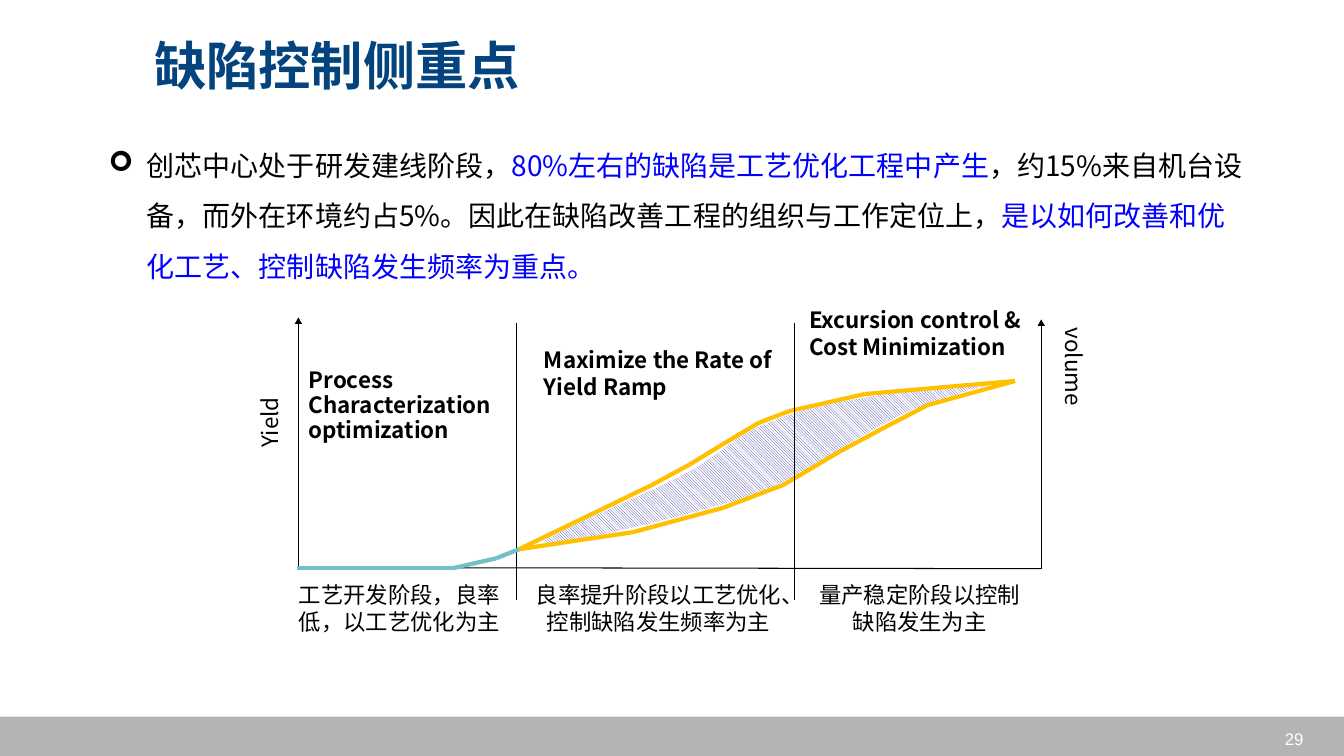
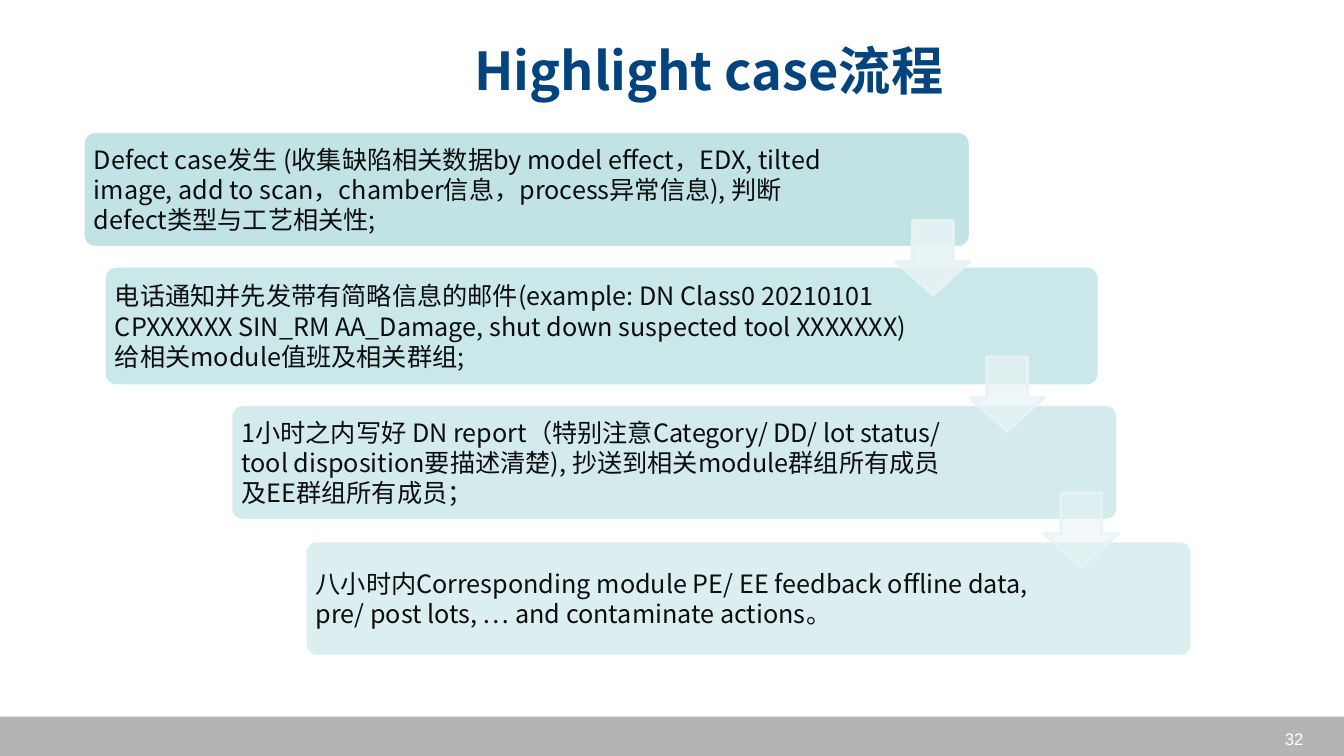
from itertools import pairwise
from typing import NamedTuple, Optional

from pptx import Presentation
from pptx.dml.color import RGBColor
from pptx.enum.dml import MSO_PATTERN as Pattern
from pptx.enum.shapes import MSO_CONNECTOR as Connector, MSO_SHAPE as Preset
from pptx.enum.text import MSO_ANCHOR as Anchor, MSO_AUTO_SIZE as AutoSize, PP_ALIGN as Align
from pptx.oxml.ns import qn
from pptx.oxml.xmlchemy import OxmlElement
from pptx.util import Cm, Pt

BODY_FONT = "Noto Sans CJK SC"
NAVY, BLUE, BLACK, WHITE = "03447E", "0000FE", "000000", "FFFFFF"
GRAY, TEAL, AMBER, INDIGO = "B4B4B4", "72BFC5", "FFC000", "333399"
CARD_FILL, CARD_TEXT, ARROW_FILL = "BBE0E3", "0D0D0D", "E7F3F4"
Point = tuple[float, float]


class Box(NamedTuple):
    left: float
    top: float
    width: float
    height: float


class Label(NamedTuple):
    box: Box
    lines: list[str]
    align: Align = Align.LEFT
    bold: bool = False
    tight: bool = False
    rotation: int = 0


class Curve(NamedTuple):
    points: list[Point]
    color: str = BLACK
    width: float = 0.75


class Card(NamedTuple):
    box: Box
    right_inset: float
    opacity: int
    text: str


LABELS = [
    Label(Box(7.53, 9.4, 5.66, 1.96), ["Process", "Characterization", "optimization"],
          bold=True, tight=True),
    Label(Box(13.46, 8.59, 6.43, 1.63), ["Maximize the Rate of Yield Ramp"], bold=True),
    Label(Box(20.14, 7.59, 6.73, 1.63), ["Excursion control &", "Cost Minimization"], bold=True),
    Label(Box(5.38, 10.36, 3.07, 0.58), ["Yield"], Align.CENTER, tight=True, rotation=270),
    Label(Box(25.43, 8.95, 3.07, 0.58), ["volume"], Align.CENTER, tight=True, rotation=90),
    Label(Box(7.13, 14.53, 5.87, 1.63), ["工艺开发阶段，良率低，以工艺优化为主"], Align.CENTER),
    Label(Box(13.22, 14.53, 6.76, 1.63), ["良率提升阶段以工艺优化、控制缺陷发生频率为主"], Align.CENTER),
    Label(Box(20.32, 14.53, 5.72, 1.63), ["量产稳定阶段以控制缺陷发生为主"], Align.CENTER),
]

AXIS_TIPS = [(7.52, 8), (26.24, 8.05)]
AXES = [
    Curve([(7.52, 14.3), (7.52, 8.1)], width=0.5),
    Curve([(26.24, 14.33), (26.24, 8.15)]),
    Curve([(7.49, 14.3), (26.24, 14.33)]),
    Curve([(13.01, 8.13), (13.01, 15.11)]),
    Curve([(20.03, 8.13), (20.03, 15.11)]),
]

RAMP_START, RAMP_END = (13.08, 13.84), (25.58, 9.6)
RAMP_CURVES = [
    Curve([RAMP_START, (16.43, 12.22), (17.37, 11.71), (18.24, 11.18), (19.13, 10.65),
           (19.89, 10.36), (21.79, 9.93), RAMP_END], AMBER, 3),
    Curve([RAMP_START, (15.95, 13.41), (18.21, 12.8), (19.74, 12.22), (21.16, 11.38),
           (22.2, 10.82), (23.37, 10.21), RAMP_END], AMBER, 3),
]
EARLY_CURVE = Curve([(7.49, 14.32), (11.4, 14.32), (12.5, 14.07), RAMP_START], TEAL, 3)

BAND_START = (13.69, 13.69)
BAND_ARCS = [
    ((13.41, 13.61), (16.33, 12.45), (17.22, 11.96)),
    ((18.14, 11.48), (18.42, 11.05), (19.15, 10.74)),
    ((19.86, 10.41), (20.55, 10.24), (21.56, 10.06)),
    ((22.58, 9.86), (24.79, 9.63), (25.27, 9.6)),
    ((25.76, 9.58), (24.89, 9.68), (24.43, 9.83)),
    ((23.98, 10.01), (23.39, 10.11), (22.48, 10.57)),
    ((21.56, 11), (20.42, 11.96), (18.97, 12.47)),
    ((17.5, 12.98), (14, 13.79), BAND_START),
]

CARDS = [
    Card(Box(2.1, 3.32, 22.35, 2.91), 3.39, 90,
         "Defect case发生 (收集缺陷相关数据by model effect，EDX, tilted image, add to scan，"
         "chamber信息，process异常信息), 判断defect类型与工艺相关性;"),
    Card(Box(2.63, 6.71, 25.07, 3.01), 4.38, 77,
         "电话通知并先发带有简略信息的邮件(example: DN Class0 20210101 CPXXXXXX SIN_RM AA_Damage, "
         "shut down suspected tool XXXXXXX) 给相关module值班及相关群组;"),
    Card(Box(5.82, 10.2, 22.35, 2.91), 3.9, 63,
         "1小时之内写好 DN report（特别注意Category/ DD/ lot status/ tool disposition要描述清楚), "
         "抄送到相关module群组所有成员及EE群组所有成员；"),
    Card(Box(7.69, 13.63, 22.35, 2.91), 3.95, 50,
         "八小时内Corresponding module PE/ EE feedback offline data, pre/ post lots, "
         "… and contaminate actions。"),
]
ARROW_OPACITIES = [90, 70, 50]


def rgb(value: str) -> RGBColor:
    return RGBColor.from_string(value)


def lengths(values) -> list[Cm]:
    return [Cm(value) for value in values]


def set_values(target, values: dict) -> None:
    for name, value in values.items():
        setattr(target, name, value)


def add_run(paragraph, text: str, color: str, size: float, bold: bool = False,
            typeface: str = BODY_FONT) -> None:
    run = paragraph.add_run()
    run.text = text
    set_values(run.font, {"name": typeface, "size": Pt(size), "bold": bold})
    run.font.color.rgb = rgb(color)
    east_asian = OxmlElement("a:ea")
    east_asian.set("typeface", typeface)
    run.font._element.find(qn("a:latin")).addnext(east_asian)


def add_text_box(slide, box: Box, anchor: Anchor = Anchor.TOP):
    shape = slide.shapes.add_textbox(*lengths(box))
    set_values(shape.text_frame, {"word_wrap": True, "vertical_anchor": anchor})
    return shape


def set_opacity(fill, percent: int) -> None:
    for color in fill.iter(qn("a:srgbClr")):
        alpha = OxmlElement("a:alpha")
        alpha.set("val", str(percent * 1000))
        color.append(alpha)


def add_filled_shape(slide, preset: Preset, box: Box, color: str, opacity: int = 100,
                     outline: Optional[str] = None, adjustments: tuple = ()):
    shape = slide.shapes.add_shape(preset, *lengths(box))
    shape.shadow.inherit = False
    for index, value in enumerate(adjustments):
        shape.adjustments[index] = value
    shape.fill.solid()
    shape.fill.fore_color.rgb = rgb(color)
    if outline:
        shape.line.color.rgb = rgb(outline)
        shape.line.width = Pt(2)
    else:
        shape.line.fill.background()
    if opacity < 100:
        set_opacity(shape._element.spPr.find(qn("a:solidFill")), opacity)
    return shape


def add_base_slide(presentation, title: str, title_box: Box, number: int):
    slide = presentation.slides.add_slide(presentation.slide_layouts[5])
    add_filled_shape(slide, Preset.RECTANGLE, Box(0, 18.06, 33.87, 0.99), GRAY)
    footer = add_text_box(slide, Box(25.2, 18.11, 7.9, 1.02), Anchor.MIDDLE)
    paragraph = footer.text_frame.paragraphs[0]
    paragraph.alignment = Align.RIGHT
    add_run(paragraph, str(number), WHITE, 12, typeface="Arial")
    heading = slide.shapes.title
    set_values(heading, dict(zip(Box._fields, lengths(title_box))))
    set_values(heading.text_frame, {"vertical_anchor": Anchor.MIDDLE, "word_wrap": True,
                                    "auto_size": AutoSize.NONE})
    paragraph = heading.text_frame.paragraphs[0]
    paragraph.alignment = Align.CENTER
    add_run(paragraph, title, NAVY, 37.3, True)
    return slide


def add_label(slide, label: Label) -> None:
    shape = add_text_box(slide, label.box)
    shape.rotation = label.rotation
    frame = shape.text_frame
    for index, text in enumerate(label.lines):
        paragraph = frame.add_paragraph() if index else frame.paragraphs[0]
        paragraph.alignment = label.align
        if label.tight:
            paragraph.line_spacing = 0.5
            if index:
                paragraph.space_before = Pt(8)
        add_run(paragraph, text, BLACK, 16, label.bold)


def add_curve(slide, curve: Curve) -> None:
    for start, end in pairwise(curve.points):
        connector = slide.shapes.add_connector(Connector.STRAIGHT, *lengths(start + end))
        connector.line.color.rgb = rgb(curve.color)
        connector.line.width = Pt(curve.width)
        connector._element.spPr.append(OxmlElement("a:effectLst"))


def add_outline(slide, points: list[Point]):
    corners = [tuple(lengths(point)) for point in points]
    builder = slide.shapes.build_freeform(*corners[0])
    builder.add_line_segments(corners[1:], close=True)
    shape = builder.convert_to_shape()
    shape.shadow.inherit = False
    shape.line.fill.background()
    return shape


def add_axis_tip(slide, tip: Point) -> None:
    x, y = tip
    base = y + 0.16
    shape = add_outline(slide, [(x + 0.09, base), tip, (x - 0.09, base)])
    shape.fill.solid()
    shape.fill.fore_color.rgb = rgb(BLACK)


def sample_arcs(start: Point, arcs: list, steps: int = 10) -> list[Point]:
    points = [start]
    for first, second, end in arcs:
        origin = points[-1]
        for step in range(1, steps + 1):
            t = step / steps
            u = 1 - t
            points.append(tuple(
                u ** 3 * a + 3 * u * u * t * b + 3 * u * t * t * c + t ** 3 * d
                for a, b, c, d in zip(origin, first, second, end)))
    return points


def add_hatched_band(slide) -> None:
    shape = add_outline(slide, sample_arcs(BAND_START, BAND_ARCS))
    shape.fill.patterned()
    shape.fill.pattern = Pattern.LIGHT_DOWNWARD_DIAGONAL
    shape.fill.fore_color.rgb = rgb(INDIGO)
    shape.fill.back_color.rgb = rgb(WHITE)


def add_summary(slide) -> None:
    shape = add_text_box(slide, Box(2.49, 3.19, 29.13, 4.09))
    paragraph = shape.text_frame.paragraphs[0]
    properties = paragraph._p.get_or_add_pPr()
    properties.set("marL", str(Cm(0.96)))
    properties.set("indent", str(-Cm(0.96)))
    for tag, name, value in [("a:buFont", "typeface", "Wingdings"), ("a:buChar", "char", "➢")]:
        bullet = OxmlElement(tag)
        bullet.set(name, value)
        properties.append(bullet)
    paragraph.line_spacing = 1.5
    for text, color in [
        ("创芯中心处于研发建线阶段，", BLACK),
        ("80%左右的缺陷是工艺优化工程中产生", BLUE),
        ("，约15%来自机台设备，而外在环境约占5%。因此在缺陷改善工程的组织与工作定位上，", BLACK),
        ("是以如何改善和优化工艺、控制缺陷发生频率为重点。", BLUE),
    ]:
        add_run(paragraph, text, color, 20)


def add_card(slide, card: Card) -> None:
    shape = add_filled_shape(slide, Preset.ROUNDED_RECTANGLE, card.box, CARD_FILL,
                             card.opacity, WHITE, (0.1,))
    inset = Cm(0.18)
    set_values(shape.text_frame, {
        "word_wrap": True, "vertical_anchor": Anchor.MIDDLE, "margin_left": inset,
        "margin_top": inset, "margin_bottom": inset, "margin_right": Cm(card.right_inset)})
    paragraph = shape.text_frame.paragraphs[0]
    paragraph.alignment = Align.LEFT
    add_run(paragraph, card.text, CARD_TEXT, 18)


def build_focus_slide(presentation) -> None:
    slide = add_base_slide(presentation, "缺陷控制侧重点", Box(1.33, 0.56, 14.33, 2.13), 29)
    add_summary(slide)
    add_hatched_band(slide)
    for curve in RAMP_CURVES + AXES + [EARLY_CURVE]:
        add_curve(slide, curve)
    for tip in AXIS_TIPS:
        add_axis_tip(slide, tip)
    for label in LABELS:
        add_label(slide, label)


def build_process_slide(presentation) -> None:
    slide = add_base_slide(presentation, "Highlight case流程", Box(3.85, 0.38, 28.02, 2.74), 32)
    for card in CARDS:
        add_card(slide, card)
    for index, opacity in enumerate(ARROW_OPACITIES):
        box = Box(22.57 + 1.87 * index, 5.56 + 3.43 * index, 1.88, 1.88)
        arrow = add_filled_shape(slide, Preset.DOWN_ARROW, box, ARROW_FILL, opacity,
                                 ARROW_FILL, (0.55, 0.45))
        set_opacity(arrow.line._get_or_add_ln(), 90)


def main() -> None:
    presentation = Presentation()
    set_values(presentation, {"slide_width": Cm(33.87), "slide_height": Cm(19.05)})
    build_focus_slide(presentation)
    build_process_slide(presentation)
    presentation.save("out.pptx")


if __name__ == "__main__":
    main()
